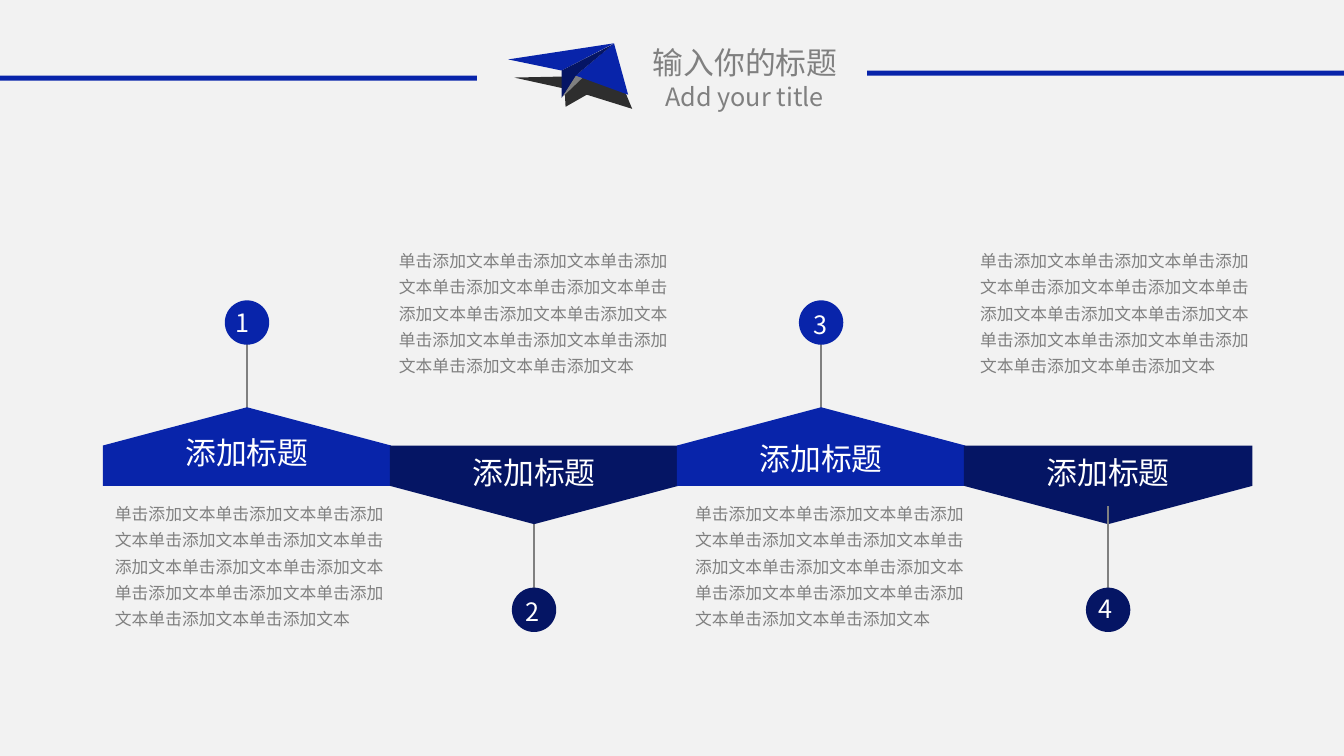
from lxml.etree import SubElement
from pptx import Presentation
from pptx.dml.color import RGBColor
from pptx.enum.shapes import MSO_CONNECTOR, MSO_SHAPE
from pptx.enum.text import MSO_AUTO_SIZE, PP_ALIGN
from pptx.oxml.ns import qn
from pptx.util import Inches, Pt

FONT = "Noto Sans CJK SC"
BLUE, NAVY, GRAY, DARK = "0824AA", "051564", "808080", "2E2E2E"
BODY = "单击添加文本" * 13
PLANE = [
    (DARK, [(62, 28), (116, 48), (123, 65), (78, 51), (57, 63), (56, 45), (6, 34), (54, 33)]),
    (GRAY, [(67, 32), (74, 34), (53, 54)]),
    (BLUE, [(67, 32), (105, 0), (119, 51)]),
    (BLUE, [(53, 27), (105, 0), (0, 16)]),
    (NAVY, [(53, 27), (100, 3), (104, 1), (67, 32), (53, 54)]),
]


def rgb(color):
    """Turn a hex string into a colour."""
    return RGBColor.from_string(color)


def paint(sp, color):
    """Give a shape a flat fill without outline or shadow."""
    sp.fill.solid()
    sp.fill.fore_color.rgb = rgb(color)
    sp.line.fill.background()
    sp.shadow.inherit = False


def add_box(slide, kind, x, y, w, h, color):
    """Add a flat preset shape."""
    sp = slide.shapes.add_shape(kind, Inches(x), Inches(y), Inches(w), Inches(h))
    paint(sp, color)
    return sp


def add_text(slide, text, x, y, w, h, size=18, color=GRAY, align=None,
             spacing=None, wrap=True, inset=(0.1, 0.05)):
    """Add a one-paragraph text box."""
    tf = slide.shapes.add_textbox(Inches(x), Inches(y), Inches(w), Inches(h)).text_frame
    tf.word_wrap = wrap
    tf.auto_size = MSO_AUTO_SIZE.SHAPE_TO_FIT_TEXT
    tf.margin_left = tf.margin_right = Inches(inset[0])
    tf.margin_top = tf.margin_bottom = Inches(inset[1])
    p = tf.paragraphs[0]
    p.alignment = align
    p.line_spacing = spacing
    r = p.add_run()
    r.text = text
    r.font.size = Pt(size)
    r.font.color.rgb = rgb(color)
    r.font.name = FONT
    SubElement(r.font._element, qn("a:ea")).set("typeface", FONT)


def add_plane(slide, x, y):
    """Draw the paper plane from its folded faces."""
    for color, points in PLANE:
        fb = slide.shapes.build_freeform(*points[0], scale=Inches(0.01))
        fb.add_line_segments(points[1:], close=True)
        paint(fb.convert_to_shape(Inches(x), Inches(y)), color)


def add_header(slide, x, y, w):
    """Place the title, the plane and the two rules."""
    rule = 4.73
    add_text(slide, "输入你的标题", x + 5.85, y, 3.08, 0.47, size=22, align=PP_ALIGN.CENTER)
    add_text(slide, "Add your title", x + 6.05, y + 0.38, 2.67, 0.4, align=PP_ALIGN.CENTER)
    add_box(slide, MSO_SHAPE.RECTANGLE, x, y + 0.37, rule, 0.05, BLUE)
    add_plane(slide, x + 5.04, y + 0.05)
    add_box(slide, MSO_SHAPE.RECTANGLE, x + w - rule, y + 0.32, rule, 0.05, BLUE)


def add_plate(slide, cx, cy, w, up, color):
    """Add a pentagon band pointing up or down."""
    h = 0.78
    sp = add_box(slide, MSO_SHAPE.PENTAGON, cx - h / 2, cy - w / 2, h, w, color)
    sp.adjustments[0] = 0.487
    sp.rotation = 270 if up else 90


def add_pin(slide, number, cx, cy, up, color, dx, dy):
    """Add a stem that ends in a numbered disc."""
    d = 0.44
    side = -1 if up else 1
    disc_y = cy + side * 1.43 + (0 if up else -0.01)
    stem = slide.shapes.add_connector(
        MSO_CONNECTOR.STRAIGHT, Inches(cx), Inches(disc_y - side * 0.17),
        Inches(cx), Inches(disc_y - side * 1.03))
    stem.line.color.rgb = rgb(GRAY)
    stem.line.width = Pt(1.5)
    SubElement(stem._element.spPr, qn("a:effectLst"))
    add_box(slide, MSO_SHAPE.OVAL, cx - d / 2, disc_y - d / 2, d, d, color)
    add_text(slide, number, cx + dx, disc_y + dy, 0.35, 0.4, color="FFFFFF", wrap=False)


def add_step(slide, number, cx, w, label_y, body_dx, num_dx, num_dy, pin_on_top=False):
    """Place one step: pin, band, label and body text."""
    up = number % 2 == 1
    color = BLUE if up else NAVY
    cy = 4.43 if up else 4.81
    pin = (slide, str(number), cx, cy + (0.2 if up else -0.18) - (0.43 - 0.2 if up else -0.2),
           up, color, num_dx, num_dy)
    pin = pin[:3] + (4.63 if up else 4.63,) + pin[4:]
    if not pin_on_top:
        add_pin(*pin)
    add_plate(slide, cx, cy, w, up, color)
    if pin_on_top:
        add_pin(*pin)
    add_text(slide, "添加标题", cx - 1.2, label_y, 2.4, 0.43, size=22, color="FFFFFF",
             align=PP_ALIGN.CENTER, spacing=0.9)
    add_text(slide, BODY, cx + body_dx, 4.9 if up else 2.39, 2.84, 1.39, size=12,
             spacing=1.3, inset=(0.07, 0.04))


def main():
    """Build and save the slide."""
    prs = Presentation()
    prs.slide_width, prs.slide_height = Inches(13.33), Inches(7.5)
    slide = prs.slides.add_slide(prs.slide_layouts[6])
    slide.background.fill.solid()
    slide.background.fill.fore_color.rgb = rgb("F2F2F2")
    add_header(slide, 0, 0.38, 13.33)
    steps = [(4.3, -1.38, -0.21, -0.2), (4.49, -1.41, -0.18, -0.18),
             (4.36, -1.32, -0.17, -0.18), (4.49, -1.34, -0.19, -0.21)]
    for i, offsets in enumerate(steps):
        add_step(slide, i + 1, 2.45 + i * 2.847, 2.86, *offsets, pin_on_top=i == 3)
    prs.save("out.pptx")


if __name__ == "__main__":
    main()
